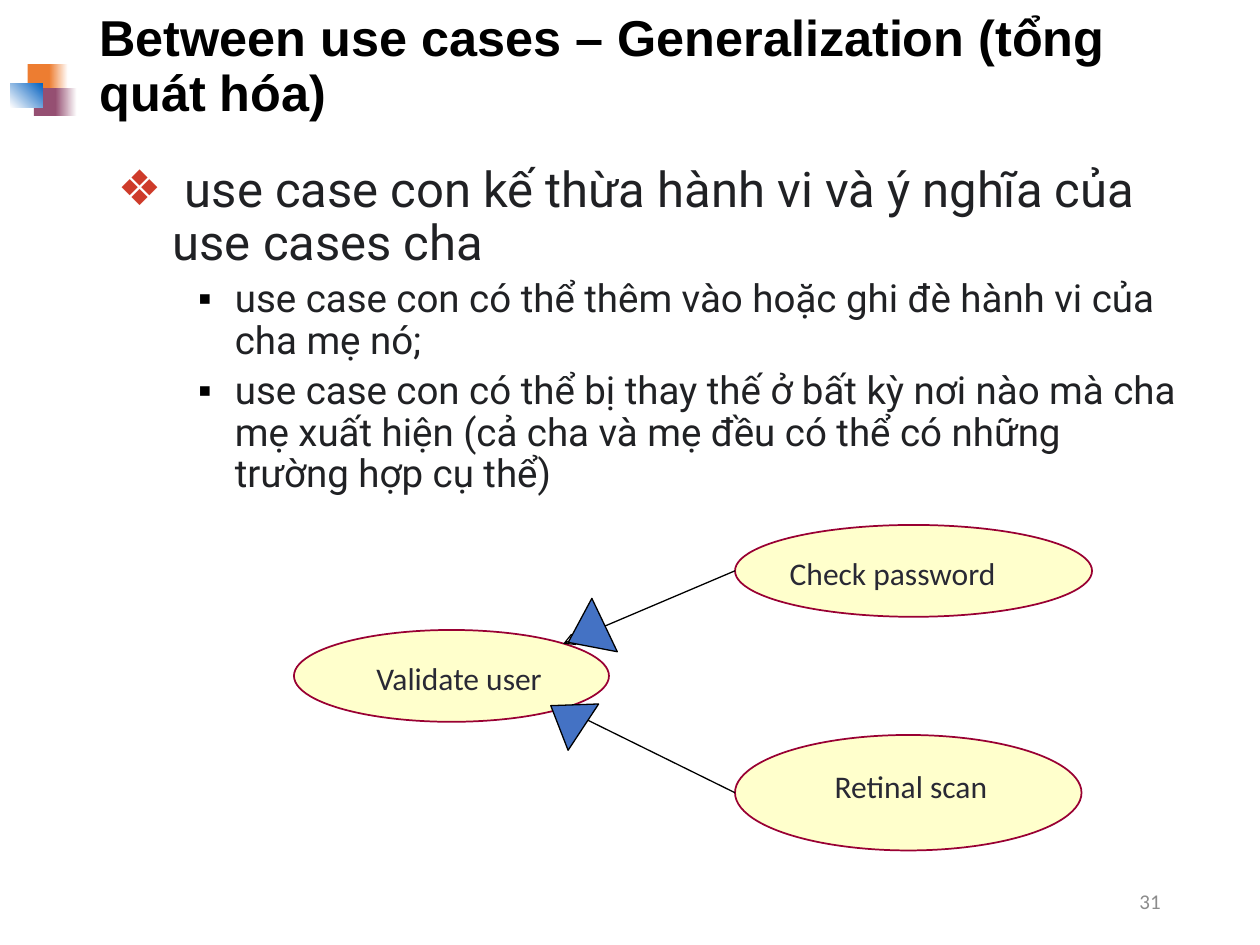
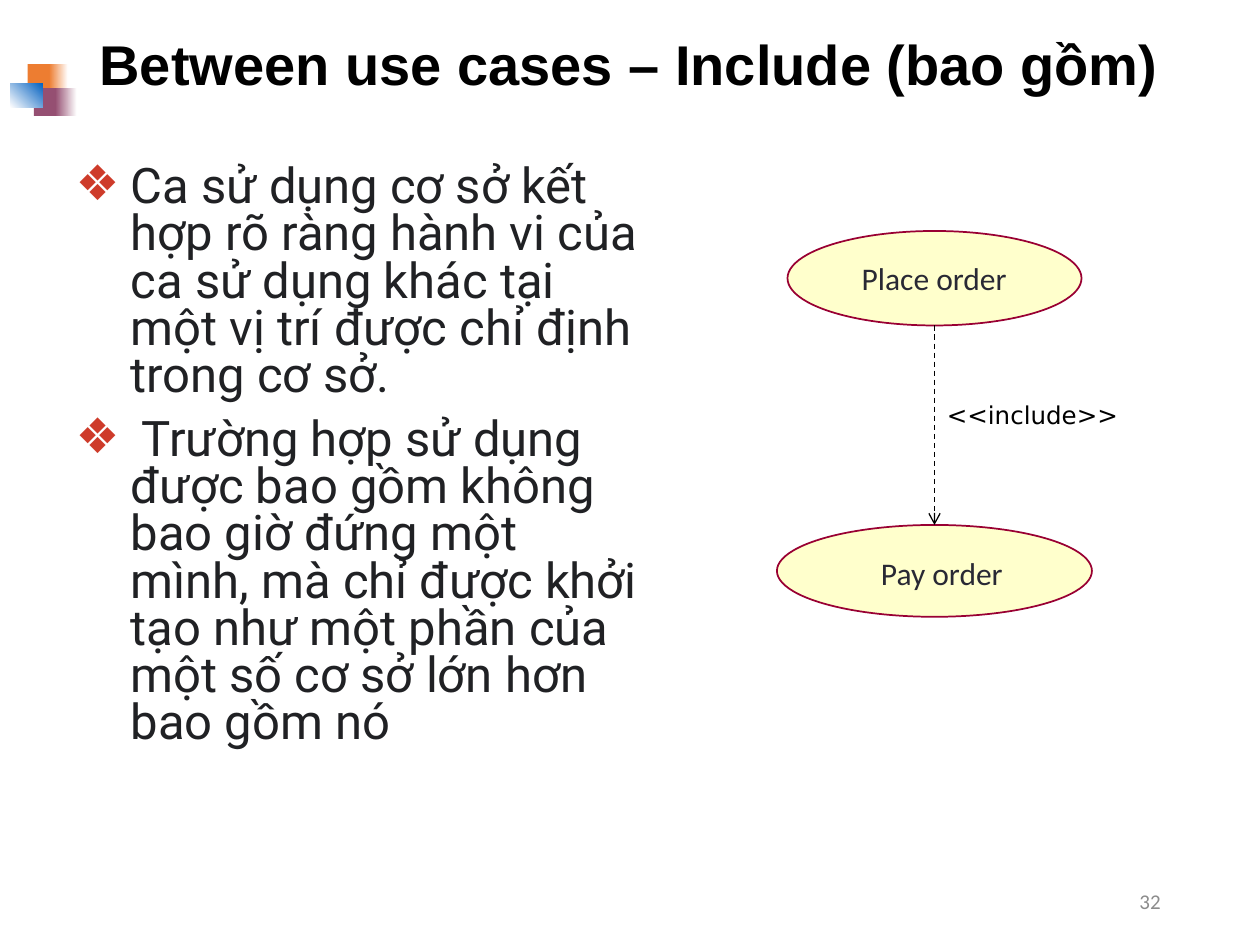
"""Build two slides on relations between use cases: generalization and include."""
from lxml.etree import SubElement
from pptx import Presentation
from pptx.dml.color import RGBColor
from pptx.enum.dml import MSO_LINE as Dash
from pptx.enum.shapes import MSO_CONNECTOR as Link, MSO_SHAPE as Kind
from pptx.enum.text import MSO_ANCHOR as Anchor, MSO_AUTO_SIZE as Fit, PP_ALIGN as Align
from pptx.oxml.ns import qn
from pptx.util import Pt

BLACK, INK, GREY, RED = "000000", "202124", "8C8C8C", "CE3B2A"
ORANGE, PLUM, BLUE, WHITE = "ED7D31", "954F72", "0563C1", "FFFFFF"
CREAM, WINE, LABEL, ARROW = "FFFFCC", "990033", "292934", "4472C4"

TILES = [
    ((15.8, 36.7, 14.4, 15.8), ORANGE, None, 0),
    ((28.1, 36.7, 10.8, 15.8), ORANGE, WHITE, 0),
    ((19.4, 50.4, 13.7, 15.8), PLUM, None, 0),
    ((31.7, 50.4, 12.2, 15.8), PLUM, WHITE, 0),
    ((5.8, 47.5, 18.7, 13.7), WHITE, BLUE, 45),
]
LEVELS = [("❖", RED, 31.5, -31.5, 28, 10), ("▪", BLACK, 67, -21, 22, 5)]

SLIDES = [
    dict(
        title="Between use cases – Generalization (tổng quát hóa)", size=28.8, page="31",
        body=(60, 90.7, 620.6, 407.5), gap=0.9,
        items=[
            (0, " use case con kế thừa hành vi và ý nghĩa của use cases cha"),
            (1, "use case con có thể thêm vào hoặc ghi đè hành vi của cha mẹ nó;"),
            (1, "use case con có thể bị thay thế ở bất kỳ nơi nào mà cha mẹ xuất hiện "
                "(cả cha và mẹ đều có thể có những trường hợp cụ thể)"),
        ],
        ovals=[
            ((420, 300, 204, 52.5), "Check password", (444.2, 313.2, 164.2, 31.7), Align.LEFT),
            ((420, 420, 198, 66), "Retinal scan", (442, 434.9, 157, 31.7), Align.CENTER),
            ((168, 360, 180, 52.5), "Validate user", (188.6, 373, 147.6, 31.7), Align.CENTER),
        ],
        lines=[((420, 326.2, 321.8, 367.9), None), ((420, 453, 321.8, 404.6), None)],
        heads=[((318.2, 350.6, 33.8, 23), 244.5), ((308.2, 398.2, 31.7, 22.3), 303.4)],
        notes=[],
    ),
    dict(
        title="Between use cases – Include (bao gồm)", size=32, page="32",
        body=(36, 91.4, 336, 356.4), gap=0.8,
        items=[
            (0, "Ca sử dụng cơ sở kết hợp rõ ràng hành vi của ca sử dụng khác "
                "tại một vị trí được chỉ định trong cơ sở."),
            (0, " Trường hợp sử dụng được bao gồm không bao giờ đứng một mình, mà chỉ "
                "được khởi tạo như một phần của một số cơ sở lớn hơn bao gồm nó"),
        ],
        ovals=[
            ((450, 132, 168, 54), "Place order", (485.3, 144.7, 118, 31.7), Align.LEFT),
            ((444, 300, 180, 52.5), "Pay order", (464.4, 313.2, 147.6, 31.7), Align.CENTER),
        ],
        lines=[((534, 186, 534, 300), Dash.DASH)],
        heads=[],
        notes=[("<<include>>", (534, 222, 116, 30))],
    ),
]


def draw(slide, kind, box, fill, line=None, width=1):
    """Add a flat preset shape."""
    shape = slide.shapes.add_shape(kind, *map(Pt, box))
    shape.shadow.inherit = False
    shape.fill.solid()
    shape.fill.fore_color.rgb = RGBColor.from_string(fill)
    if line:
        shape.line.color.rgb = RGBColor.from_string(line)
        shape.line.width = Pt(width)
    else:
        shape.line.fill.background()
    return shape


def write(para, text, size, font, color, bold=False):
    """Add one run to a paragraph."""
    run = para.add_run()
    run.text = text
    run.font.size, run.font.name, run.font.bold = Pt(size), font, bold
    run.font.color.rgb = RGBColor.from_string(color)


deck = Presentation()
deck.slide_width, deck.slide_height = Pt(720), Pt(540)

for plan in SLIDES:
    slide = deck.slides.add_slide(deck.slide_layouts[1])

    for box, start, end, angle in TILES:
        tile = draw(slide, Kind.RECTANGLE, box, start)
        if end:
            tile.fill.gradient()
            tile.fill.gradient_angle = angle
            for stop, color in zip(tile.fill.gradient_stops, (start, end)):
                stop.color.rgb = RGBColor.from_string(color)

    title, body = slide.shapes.title, slide.placeholders[1]
    for holder, box in ((title, (49.7, 9.4, 620.6, 58.3)), (body, plan["body"])):
        holder.left, holder.top, holder.width, holder.height = map(Pt, box)
        holder.text_frame.auto_size = Fit.NONE
        holder.text_frame.word_wrap = True
    title.text_frame.vertical_anchor = Anchor.MIDDLE
    para = title.text_frame.paragraphs[0]
    para.alignment, para.line_spacing = Align.LEFT, 0.9
    write(para, plan["title"], plan["size"], "Arial", BLACK, True)

    frame = body.text_frame
    frame.vertical_anchor = Anchor.TOP
    for i, (level, text) in enumerate(plan["items"]):
        mark, tint, left, hang, size, before = LEVELS[level]
        para = frame.add_paragraph() if i else frame.paragraphs[0]
        para.level, para.line_spacing = level, plan["gap"]
        para.space_before, para.space_after = Pt(before), Pt(0)
        props = para._p.get_or_add_pPr()
        props.set("marL", str(Pt(left)))
        props.set("indent", str(Pt(hang)))
        SubElement(SubElement(props, qn("a:buClr")), qn("a:srgbClr"), val=tint)
        SubElement(props, qn("a:buFont"), typeface="Arial")
        SubElement(props, qn("a:buChar"), char=mark)
        write(para, text, size, "Roboto", INK)

    page = (508.3, 500.4, 162, 28.8)
    labels = [(plan["page"], page, 12, "Calibri", GREY, Align.RIGHT, Anchor.MIDDLE)]
    for box, text, place, align in plan["ovals"]:
        draw(slide, Kind.OVAL, box, CREAM, WINE)
        labels.append((text, place, 18, "Calibri", LABEL, align, Anchor.TOP))
    for text, place in plan["notes"]:
        labels.append((text, place, 14, "DejaVu Sans", BLACK, Align.LEFT, Anchor.MIDDLE))

    for ends, dash in plan["lines"]:
        link = slide.shapes.add_connector(Link.STRAIGHT, *map(Pt, ends))
        link.line.color.rgb = RGBColor.from_string(BLACK)
        link.line.width = Pt(0.75)
        if dash:
            link.line.dash_style = dash
        SubElement(link.line._get_or_add_ln(), qn("a:tailEnd"), type="arrow")
        SubElement(link._element.spPr, qn("a:effectLst"))

    for box, turn in plan["heads"]:
        draw(slide, Kind.ISOSCELES_TRIANGLE, box, ARROW, BLACK, 0.75).rotation = turn

    for text, place, size, font, color, align, anchor in labels:
        frame = slide.shapes.add_textbox(*map(Pt, place)).text_frame
        frame.word_wrap, frame.vertical_anchor = True, anchor
        frame.paragraphs[0].alignment = align
        write(frame.paragraphs[0], text, size, font, color)

deck.save("out.pptx")
